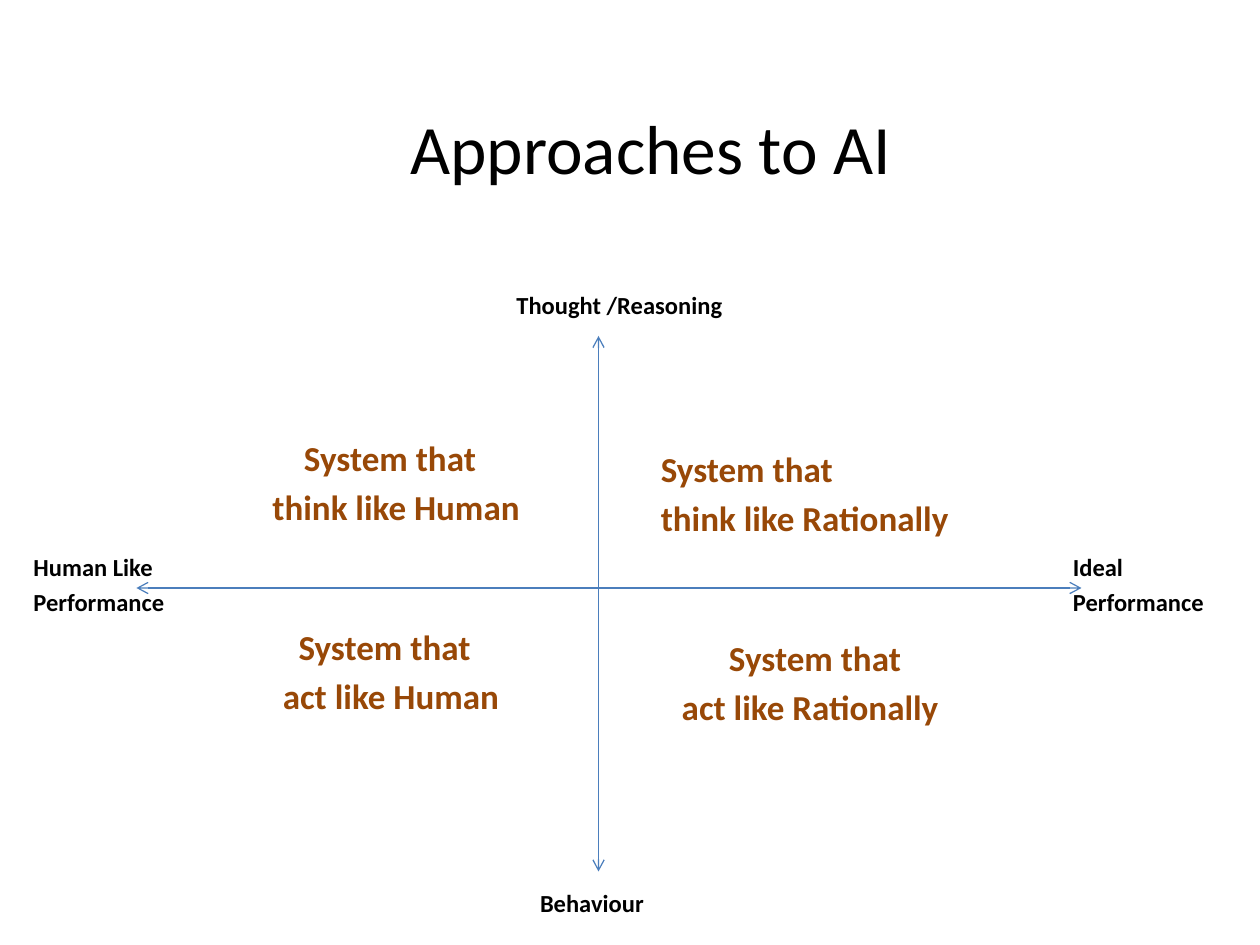
from pptx import Presentation
from pptx.util import Pt
from pptx.dml.color import RGBColor
from pptx.enum import shapes, text
from lxml import etree

BROWN = RGBColor(0x98, 0x48, 0x07)
BLACK = RGBColor(0, 0, 0)
BLUE = RGBColor(0x4B, 0x7E, 0xBC)
NS = "{http://schemas.openxmlformats.org/drawingml/2006/main}"


def label(box, lines, size, color):
    """Fill a box with bold lines, each given as (words, left margin, first indent)."""
    frame = box.text_frame
    frame.word_wrap = True
    frame.vertical_anchor = text.MSO_ANCHOR.TOP
    frame.text = "\n".join(words for words, _, _ in lines)
    for i, (para, (_, left, first)) in enumerate(zip(frame.paragraphs, lines)):
        props = para._p.get_or_add_pPr()
        props.set("marL", str(Pt(left)))
        props.set("indent", str(Pt(first)))
        para.alignment = text.PP_ALIGN.LEFT
        para.space_before = Pt(0.2 * size if i else 0)
        font = para.runs[0].font
        font.name, font.size, font.bold = "Calibri", Pt(size), True
        font.color.rgb = color


def place(shape, left, top, width, height):
    shape.left, shape.top = Pt(left), Pt(top)
    shape.width, shape.height = Pt(width), Pt(height)


deck = Presentation()
deck.slide_width, deck.slide_height = Pt(720), Pt(540)
slide = deck.slides.add_slide(deck.slide_layouts[0])

# Title
title = slide.shapes.title
place(title, 66, 36, 612, 96)
title.text_frame.text = "Approaches to AI"
title.text_frame.vertical_anchor = text.MSO_ANCHOR.MIDDLE
para = title.text_frame.paragraphs[0]
para.alignment = text.PP_ALIGN.CENTER
font = para.runs[0].font
font.name, font.size, font.color.rgb = "Calibri", Pt(39.6), BLACK

# First quadrant, in the body placeholder
body = slide.placeholders[1]
place(body, 144, 246, 162, 72)
label(body, [("System that", 22.5, 0), ("think like Human", 4.5, 0)], 20, BROWN)

# Axes with an arrow at both ends
for x1, y1, x2, y2 in [(342, 192, 342, 498), (78, 336, 618, 336)]:
    axis = slide.shapes.add_connector(
        shapes.MSO_CONNECTOR.STRAIGHT, Pt(x1), Pt(y1), Pt(x2), Pt(y2))
    axis.line.color.rgb = BLUE
    axis.line.width = Pt(0.75)
    line = axis.line._get_or_add_ln()
    for end in ("headEnd", "tailEnd"):
        etree.SubElement(line, NS + end, type="arrow")
    etree.SubElement(axis._element.spPr, NS + "effectLst")

# Other quadrants, then the names of the axis ends
notes = [
    ((366, 252, 192, 72), 20, BROWN,
     [("System that", 4.5, 0), ("think like Rationally", 4.5, 0)]),
    ((150, 354, 162, 72), 20, BROWN,
     [("System that", 13.5, 0), ("act like Human", 4.5, 0)]),
    ((378, 360, 174, 72), 20, BROWN,
     [("System that", 31.5, 0), ("act like Rationally", 4.5, 0)]),
    ((12, 312, 90, 48), 14, BLACK,
     [("Human Like", 0, 0), ("Performance", 0, 0)]),
    ((606, 312, 96, 54), 14, BLACK,
     [("Ideal", 0, 0), ("Performance", 0, 0)]),
    ((288, 162, 132, 24), 14, BLACK, [("Thought /Reasoning", 40.5, -40.5)]),
    ((270, 504, 132, 24), 14, BLACK, [("Behaviour", 31.5, 0)]),
]
for spot, size, color, lines in notes:
    box = slide.shapes.add_textbox(*map(Pt, spot))
    label(box, lines, size, color)

deck.save("out.pptx")
